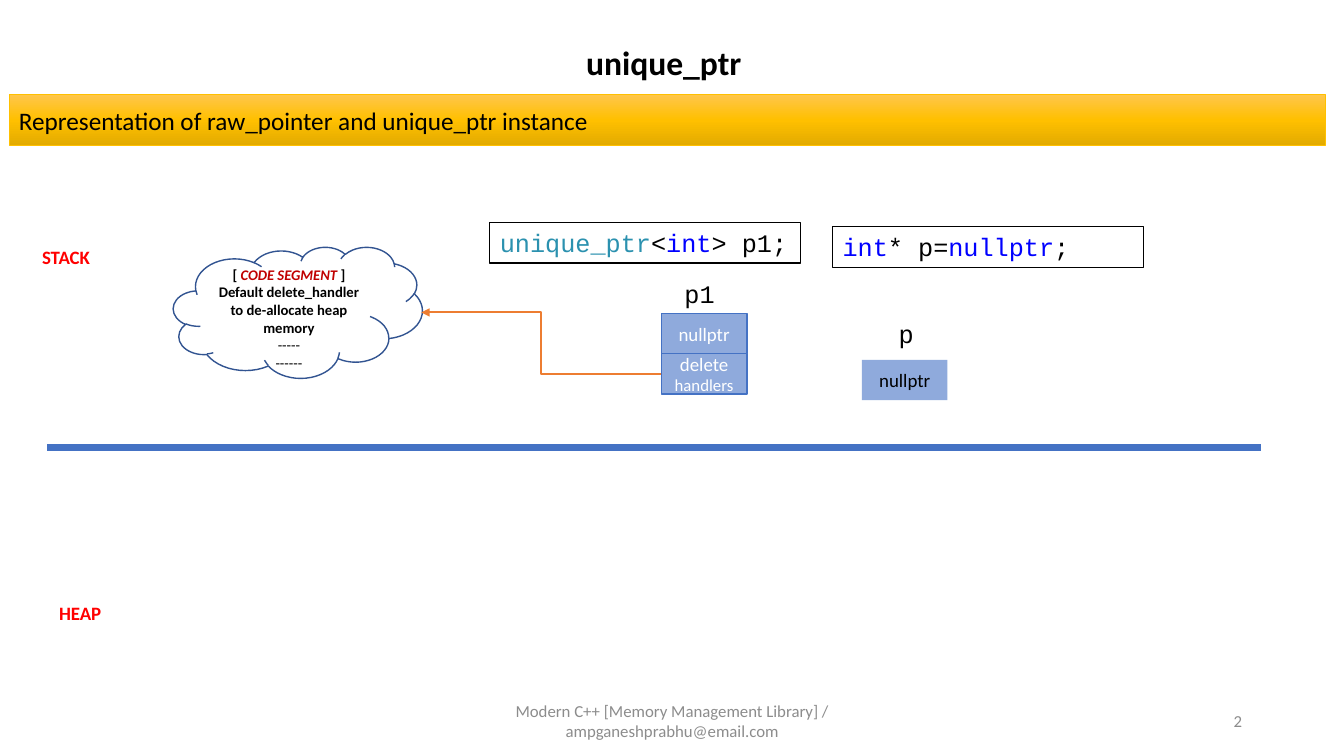
from copy import deepcopy
from dataclasses import dataclass

from pptx import Presentation
from pptx.dml.color import RGBColor
from pptx.enum.shapes import MSO_CONNECTOR as Connector, MSO_SHAPE as Shape
from pptx.enum.text import MSO_ANCHOR as Anchor, PP_ALIGN as Align
from pptx.oxml.ns import qn
from pptx.oxml.xmlchemy import OxmlElement
from pptx.util import Inches, Pt


@dataclass(frozen=True)
class Theme:
    sans: str = "Calibri"
    mono: str = "Courier New"
    black: str = "000000"
    white: str = "FFFFFF"
    region: str = "FF0000"
    cell: str = "8FAADC"
    blue: str = "4472C4"
    cloud_edge: str = "325491"
    segment: str = "C00000"
    keyword: str = "0000FF"
    type_name: str = "2B91AF"
    arrow: str = "ED7D31"
    footer: str = "8C8C8C"
    banner_edge: str = "FFC000"
    banner: tuple = ((0, "FFC64B"), (0.5, "FFC000"), (1, "E3AB00"))
    title_size: float = 24
    large: float = 18
    body: float = 13.5
    small: float = 12
    note: float = 10.5


THEME = Theme()
GRID = Inches(0.1)
CELL_WIDTH, CELL_HEIGHT = 8.5, 4
CODE_WIDTH = 30.8
P1_LEFT, P1_TOP = 65.6, 31.1


def cells(*lengths):
    return [round(length * GRID) for length in lengths]


def add_span(para, text, size=THEME.body, font=THEME.sans, color=THEME.black,
             bold=False, italic=False):
    span = para.add_run()
    span.text = text
    span.font.size = Pt(size)
    span.font.name = font
    span.font.color.rgb = RGBColor.from_string(color)
    span.font.bold = bold
    span.font.italic = italic


def write(box, lines, align=Align.CENTER, anchor=Anchor.MIDDLE, **common):
    frame = box.text_frame
    frame.word_wrap = True
    frame.vertical_anchor = anchor
    for index, line in enumerate(lines):
        para = frame.add_paragraph() if index else frame.paragraphs[0]
        para.alignment = align
        for text, style in line:
            add_span(para, text, **{**common, **style})


def add_label(page, place, text, anchor=Anchor.TOP, align=Align.CENTER, **style):
    box = page.shapes.add_textbox(*cells(*place))
    write(box, [[(text, style)]], align, anchor)


def add_box(page, place, kind=Shape.RECTANGLE, fill=None, edge=None, width=1):
    box = page.shapes.add_shape(kind, *cells(*place))
    box.shadow.inherit = False
    if fill:
        box.fill.solid()
        box.fill.fore_color.rgb = RGBColor.from_string(fill)
    else:
        box.fill.background()
    if edge:
        box.line.color.rgb = RGBColor.from_string(edge)
        box.line.width = Pt(width)
    else:
        box.line.fill.background()
    return box


def add_cell(page, left, top, spans, color, edge=None):
    place = (left, top, CELL_WIDTH, CELL_HEIGHT)
    box = add_box(page, place, fill=THEME.cell, edge=edge)
    write(box, [spans], color=color)


def add_code(page, left, top, spans):
    place = (left, top, CODE_WIDTH, CELL_HEIGHT)
    box = add_box(page, place, edge=THEME.black, width=0.75)
    write(box, [spans], Align.LEFT, Anchor.TOP, size=THEME.large, font=THEME.mono)


def add_line(page, kind, start, end, color, width):
    line = page.shapes.add_connector(kind, *cells(*start, *end))
    line.line.color.rgb = RGBColor.from_string(color)
    line.line.width = Pt(width)
    line._element.spPr.append(OxmlElement("a:effectLst"))
    return line


def add_arrow(page, start, end):
    arrow = add_line(page, Connector.ELBOW, start, end, THEME.arrow, 1.5)
    head = OxmlElement("a:tailEnd")
    head.set("type", "triangle")
    arrow.line._get_or_add_ln().append(head)


def add_banner(page, text):
    box = add_box(page, (0.9, 9.4, 130.6, 5), edge=THEME.banner_edge, width=0.5)
    box.fill.gradient()
    box.fill.gradient_angle = 270
    stops = box._element.spPr.find(".//" + qn("a:gsLst"))
    stops.append(deepcopy(stops[0]))
    for stop, (position, color) in zip(box.fill.gradient_stops, THEME.banner):
        stop.position = position
        stop.color.rgb = RGBColor.from_string(color)
    write(box, [[(text, {})]], Align.LEFT, size=THEME.large)


def add_cloud(page):
    box = add_box(page, (17.2, 24.5, 24.7, 13), Shape.CLOUD, edge=THEME.cloud_edge)
    box.text_frame.margin_top = Inches(0.23)
    plain = {"bold": False}
    write(box, [
        [("[ ", {}),
         ("CODE SEGMENT ", {"color": THEME.segment, "italic": True}),
         ("]", {})],
        [("Default delete_handler to de-allocate heap memory", {})],
        [("-----", plain)],
        [("------", plain)],
    ], size=THEME.note, bold=True)


def main():
    deck = Presentation()
    deck.slide_width, deck.slide_height = cells(133.33, 75)
    page = deck.slides.add_slide(deck.slide_layouts[6])
    keyword = {"color": THEME.keyword}

    add_label(page, (55.3, 3.7, 21.1, 5), "unique_ptr",
              size=THEME.title_size, bold=True)
    add_banner(page, "Representation of raw_pointer and unique_ptr instance")

    add_line(page, Connector.STRAIGHT, (4.7, 44.4), (125.1, 44.4), THEME.blue, 4.5)
    for text, place in (("STACK", (1.9, 23.9, 9.3, 3.3)),
                        ("HEAP", (4.7, 59.2, 6.5, 3.3))):
        add_label(page, place, text, color=THEME.region, bold=True)

    add_cloud(page)
    add_code(page, 48.6, 22.1, [("unique_ptr", {"color": THEME.type_name}),
                                ("<", {}), ("int", keyword), ("> p1;", {})])
    add_code(page, 82.6, 22.5, [("int", keyword), ("* p=", {}),
                                ("nullptr", keyword), (";", {})])
    for text, place in (("p1", (66.8, 27.1, 5.2, 4)),
                        ("p", (87.7, 31.1, 4.4, 4))):
        add_label(page, place, text, size=THEME.large, font=THEME.mono)

    handler = [("delete ", {}), ("handlers", {"size": THEME.small})]
    for row, spans in enumerate(([("nullptr", {})], handler)):
        add_cell(page, P1_LEFT, P1_TOP + row * CELL_HEIGHT, spans,
                 THEME.white, THEME.blue)
    add_cell(page, 85.5, 35.7, [("nullptr", {})], THEME.black)
    add_arrow(page, (P1_LEFT, P1_TOP + 1.5 * CELL_HEIGHT), (41.8, 31))

    footer = {"size": THEME.small, "color": THEME.footer, "anchor": Anchor.MIDDLE}
    add_label(page, (44.2, 69.5, 45, 4),
              "Modern C++ [Memory Management Library] / ampganeshprabhu@email.com",
              **footer)
    add_label(page, (94.2, 69.5, 30, 4), "2", align=Align.RIGHT, **footer)
    deck.save("out.pptx")


if __name__ == "__main__":
    main()
